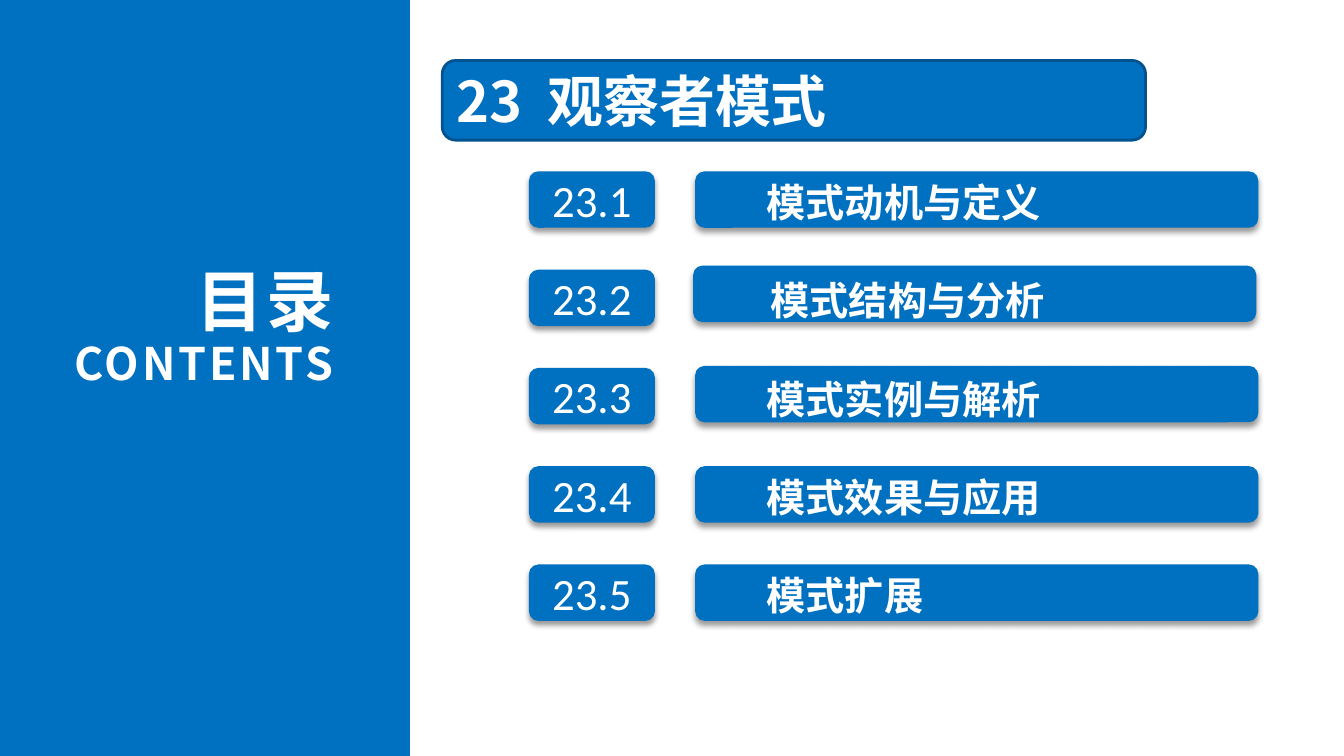
"""Builds the contents slide of the observer pattern chapter."""
from dataclasses import dataclass

from lxml import etree
from pptx import Presentation
from pptx.dml.color import RGBColor
from pptx.enum import shapes, text
from pptx.oxml import ns
from pptx.util import Inches, Pt

CONTENTS = [("目录", 48, 62.5), ("CONTENTS", 32, 36)]
CHAPTER = [("23", 0), (" ", 9), ("观察者模式", 0)]
SECTIONS = [
    {"number": "23.1", "name": "模式动机与定义", "bar": (6.9, 0), "label": 7.48},
    {"number": "23.2", "name": "模式结构与分析", "bar": (6.88, -0.04), "label": 7.52},
    {"number": "23.3", "name": "模式实例与解析", "bar": (6.9, -0.02), "label": 7.48},
    {"number": "23.4", "name": "模式效果与应用", "bar": (6.9, 0), "label": 7.48},
    {"number": "23.5", "name": "模式扩展", "bar": (6.9, 0), "label": 7.48},
]
FIRST_ROW, ROW_STEP, ROW_HEIGHT = 1.7, 0.975, 0.56
LABEL_RISE = 0.04


@dataclass(frozen=True)
class Theme:
    """Colours, fonts and type sizes."""
    blue: RGBColor = RGBColor(0x00, 0x70, 0xC0)
    edge: RGBColor = RGBColor(0x00, 0x53, 0x8E)
    white: RGBColor = RGBColor(0xFF, 0xFF, 0xFF)
    chinese: str = "Noto Sans CJK SC"
    digits: str = "Calibri"
    chapter: int = 40
    number: int = 32
    label: int = 28
    label_line: float = 36.5


THEME = Theme()
ROUNDED = shapes.MSO_SHAPE.ROUNDED_RECTANGLE


def apply(target, values):
    """Set every attribute named in values."""
    for name, value in values.items():
        setattr(target, name, value)


def add_box(owner, kind, place, edge=None, shadow=False):
    """Add a blue shape, with an outline or a soft shadow on request."""
    shape = owner.add_shape(kind, *map(Inches, place))
    shape.fill.solid()
    shape.fill.fore_color.rgb = THEME.blue
    if edge:
        shape.line.color.rgb = edge
        shape.line.width = Pt(2)
    else:
        shape.line.fill.background()
    shape.shadow.inherit = False
    if shadow:
        effects = shape.element.spPr.find(ns.qn("a:effectLst"))
        outer = etree.SubElement(effects, ns.qn("a:outerShdw"), blurRad=str(Pt(4)),
                                 dist=str(Pt(3)), dir="5400000", rotWithShape="0")
        colour = etree.SubElement(outer, ns.qn("a:srgbClr"), val="000000")
        etree.SubElement(colour, ns.qn("a:alpha"), val="40000")
    return shape


def set_frame(shape, anchor, side=0.13, edge=0.07):
    """Set wrapping, anchor and insets of a text frame and return it."""
    frame = shape.text_frame
    apply(frame, {"word_wrap": True, "auto_size": text.MSO_AUTO_SIZE.NONE,
                  "vertical_anchor": anchor,
                  "margin_left": Inches(side), "margin_right": Inches(side),
                  "margin_top": Inches(edge), "margin_bottom": Inches(edge)})
    return frame


def write(paragraph, words, size, font=THEME.chinese, bold=True, spacing=0):
    """Add one white run with its font and character spacing."""
    run = paragraph.add_run()
    run.text = words
    apply(run.font, {"size": Pt(size), "name": font, "bold": bold})
    run.font.color.rgb = THEME.white
    properties = run.font._element
    if spacing:
        properties.set("spc", str(spacing * 100))
    latin = properties.find(ns.qn("a:latin"))
    latin.addnext(etree.Element(ns.qn("a:ea"), typeface=font))


def add_contents_panel(slide):
    """Place the title on the blue side panel."""
    title = slide.shapes.title
    panel = add_box(slide.shapes, shapes.MSO_SHAPE.RECTANGLE, (0, 0, 4.07, 7.5))
    title.element.addprevious(panel.element)
    apply(title, {"left": Inches(0.37), "top": Inches(2.43),
                  "width": Inches(3.07), "height": Inches(1.48)})
    frame = set_frame(title, text.MSO_ANCHOR.TOP)
    for index, (words, size, line) in enumerate(CONTENTS):
        paragraph = frame.add_paragraph() if index else frame.paragraphs[0]
        apply(paragraph, {"alignment": text.PP_ALIGN.RIGHT, "line_spacing": Pt(line)})
        write(paragraph, words, size, spacing=2)


def add_chapter(slide):
    """Add the outlined chapter heading."""
    heading = add_box(slide.shapes, ROUNDED, (4.39, 0.6, 6.98, 0.79), edge=THEME.edge)
    frame = set_frame(heading, text.MSO_ANCHOR.MIDDLE, 0.1, 0.05)
    paragraph = frame.paragraphs[0]
    paragraph.alignment = text.PP_ALIGN.LEFT
    for words, spacing in CHAPTER:
        write(paragraph, words, THEME.chapter, spacing=spacing)


def add_section(slide, row, section):
    """Add the number chip and the grouped bar and label of one section."""
    top = FIRST_ROW + row * ROW_STEP
    chip = add_box(slide.shapes, ROUNDED, (5.25, top, 1.25, ROW_HEIGHT), shadow=True)
    paragraph = set_frame(chip, text.MSO_ANCHOR.MIDDLE).paragraphs[0]
    paragraph.alignment = text.PP_ALIGN.CENTER
    write(paragraph, section["number"], THEME.number, THEME.digits, False)

    group = slide.shapes.add_group_shape().shapes
    left, nudge = section["bar"]
    add_box(group, ROUNDED, (left, top + nudge, 5.59, ROW_HEIGHT), shadow=True)
    place = (section["label"], top - LABEL_RISE, 4.09, 0.61)
    label = group.add_textbox(*map(Inches, place))
    paragraph = set_frame(label, text.MSO_ANCHOR.TOP).paragraphs[0]
    paragraph.line_spacing = Pt(THEME.label_line)
    write(paragraph, section["name"], THEME.label)


def main():
    """Build and save the presentation."""
    presentation = Presentation()
    apply(presentation, {"slide_width": Inches(13.34), "slide_height": Inches(7.5)})
    slide = presentation.slides.add_slide(presentation.slide_layouts[5])
    add_contents_panel(slide)
    add_chapter(slide)
    for row, section in enumerate(SECTIONS):
        add_section(slide, row, section)
    presentation.save("out.pptx")


if __name__ == "__main__":
    main()
